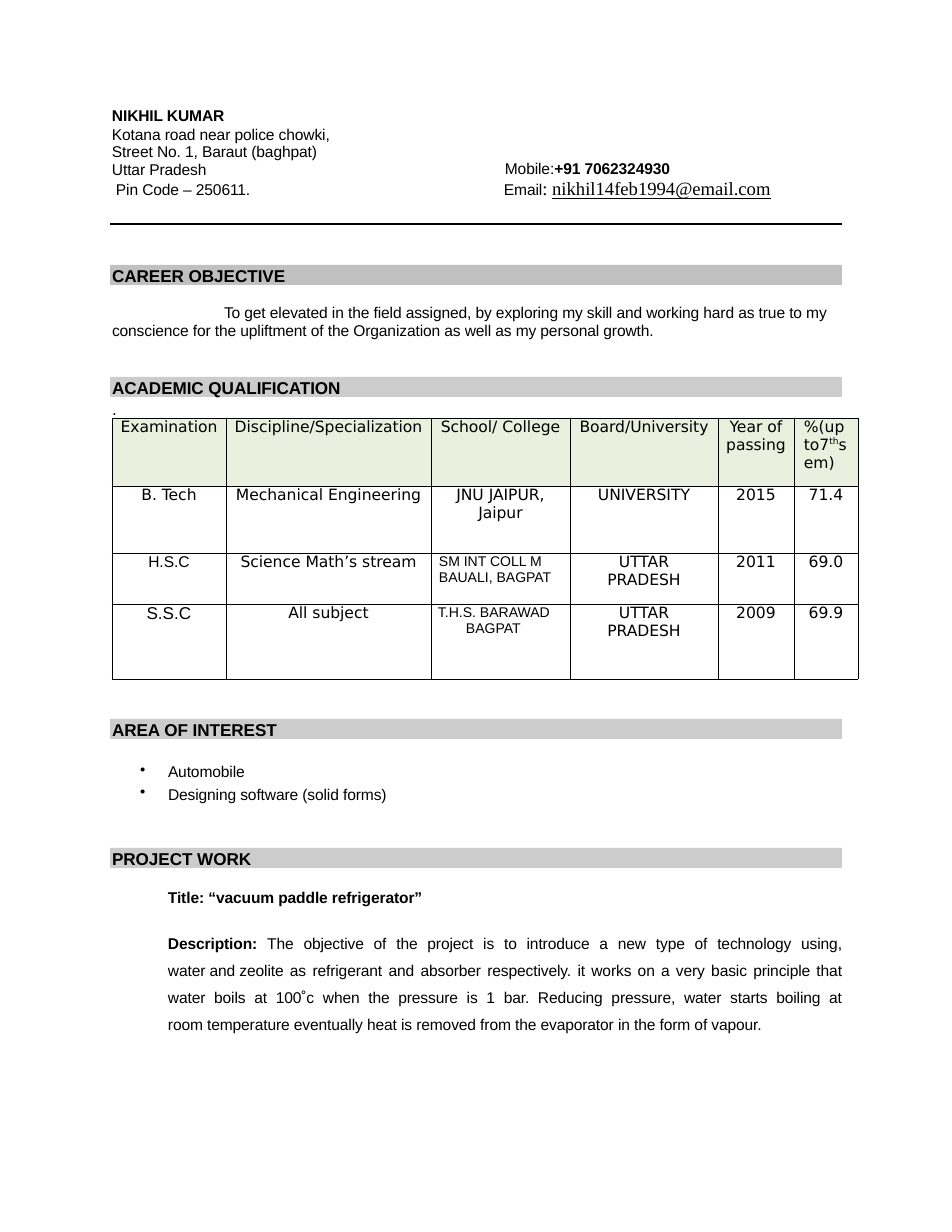
import pptx
import pptx.util
import pptx.dml.color
import pptx.enum.shapes
import pptx.enum.text
import pptx.oxml.ns
import lxml.etree

THEME = {
    "ink": "000000", "bar_dark": "C0C0C0", "bar": "CCCCCC", "header_fill": "EAF0DD",
    "body": "Arial", "grid": "DejaVu Sans", "serif": "Times New Roman",
    "body_size": 10, "heading_size": 11, "small_size": 9, "email_size": 12, "tracking": -0.06,
}
EMU_PER_PIXEL = 914400 / 112
ALIGN = pptx.enum.text.PP_ALIGN

BAR_LEFT, BAR_WIDTH, BAR_HEIGHT = 110, 732, 20
HEADINGS = [
    ("CAREER OBJECTIVE", 265, "bar_dark"), ("ACADEMIC QUALIFICATION", 377, "bar"),
    ("AREA OF INTEREST", 719, "bar"), ("PROJECT WORK", 848, "bar"),
]
BOLD = {"bold": True}
SERIF = {"font": THEME["serif"], "size": THEME["email_size"], "tracking": 0}
TEXT_BOXES = [
    ((111, 106, 230, 93), [
        ([("NIKHIL KUMAR", BOLD)], {"left": 1, "line": 11.9}),
        ("Kotana road near police chowki,\nStreet No. 1, Baraut (baghpat)\nUttar Pradesh",
         {"left": 1, "line": 11.4, "before": 0.6}),
        ("Pin Code – 250611.", {"left": 5, "before": 1.1}),
    ]),
    ((503, 160, 271, 40), [
        (["Mobile:", ("+91 7062324930", BOLD)], {"left": 2, "line": 11.6}),
        (["Email", (": ", SERIF), ("nikhil14feb1994@email.com", {**SERIF, "underline": True})],
         {"left": 1, "line": 13.9}),
    ]),
    ((111, 304, 730, 37), [
        ("To get elevated in the field assigned, by exploring my skill and working hard as true to my "
         "conscience for the upliftment of the Organization as well as my personal growth.",
         {"left": 1, "first": 112, "line": 11.5}),
    ]),
    ((111, 398, 8, 20), [([(".", {"size": THEME["heading_size"]})], {"left": 1})]),
    ((139, 762, 255, 40), [
        ("Automobile", {"left": 29, "first": -28, "bullet": "•"}),
        ("Designing software (solid forms)", {"left": 29, "first": -28, "bullet": "•", "before": 2.5}),
    ]),
    ((167, 888, 675, 145), [
        ([("Title: “vacuum paddle refrigerator”", BOLD)], {"left": 1}),
        ([("Description: ", BOLD),
          "The objective of the project is to introduce a new type of technology using, "
          "water\u00a0and\u00a0zeolite as refrigerant and absorber respectively. it works on a very "
          "basic principle that water boils at 100˚c when the pressure is 1 bar. Reducing pressure, "
          "water starts boiling at room\u00a0temperature eventually heat is removed from the "
          "evaporator in the form of vapour."],
         {"left": 1, "line": 17.4, "before": 12.2, "align": ALIGN.JUSTIFY}),
    ]),
]

TABLE_LEFT, TABLE_TOP = 112, 418
COLUMN_WIDTHS = [114, 205, 139, 148, 76, 64]
ROW_HEIGHTS = [68, 67, 51, 75]
ARIAL = {"font": THEME["body"]}
SMALL = {"font": THEME["body"], "size": THEME["small_size"]}
QUALIFICATIONS = [
    ["Examination", "Discipline/Specialization", "School/ College", "Board/University",
     "Year of passing",
     (["%(up to7", ("th", {"superscript": True}), "s em)"], {"left": 10, "align": ALIGN.LEFT})],
    ["B. Tech", "Mechanical Engineering", "JNU JAIPUR,\nJaipur", "UNIVERSITY", "2015", "71.4"],
    [([("H.S.C", ARIAL)], {}), "Science Math’s stream",
     ([("SM INT COLL M BAUALI, BAGPAT", SMALL)], {"left": 8, "line": 10.4, "align": ALIGN.LEFT}),
     "UTTAR\nPRADESH", "2011", "69.0"],
    [([("S.S.C", {**ARIAL, "size": THEME["heading_size"]})], {}), "All subject",
     ([("T.H.S. BARAWAD BAGPAT", SMALL)],
      {"left": 35, "first": -28, "line": 10.4, "align": ALIGN.LEFT}),
     "UTTAR\nPRADESH", "2009", "69.9"],
]


def pixels(value):
    return pptx.util.Emu(round(value * EMU_PER_PIXEL))


def color(name):
    return pptx.dml.color.RGBColor.from_string(THEME[name])


def add_xml(parent, tag, **attributes):
    return lxml.etree.SubElement(parent, pptx.oxml.ns.qn(tag), attributes)


def format_run(run, font=THEME["body"], size=THEME["body_size"], bold=False, underline=False,
               tracking=THEME["tracking"], superscript=False):
    run.font.name = font
    run.font.size = pptx.util.Pt(size)
    run.font.bold = bold
    run.font.underline = underline
    run.font.color.rgb = color("ink")
    properties = run._r.get_or_add_rPr()
    properties.set("spc", str(round(tracking * 100)))
    if superscript:
        properties.set("baseline", "38000")


def write_paragraph(paragraph, content, left=0, first=0, line=None, before=0, bullet=None,
                    align=ALIGN.LEFT, **run_format):
    paragraph.alignment = align
    paragraph.space_before = pptx.util.Pt(before)
    if line:
        paragraph.line_spacing = pptx.util.Pt(line)
    properties = paragraph._p.get_or_add_pPr()
    properties.set("marL", str(pixels(left)))
    properties.set("indent", str(pixels(first)))
    if bullet:
        add_xml(properties, "a:buChar", char=bullet)
    for piece in [content] if isinstance(content, str) else content:
        text, changes = (piece, {}) if isinstance(piece, str) else piece
        for index, text_line in enumerate(text.split("\n")):
            if index:
                paragraph.add_line_break()
            run = paragraph.add_run()
            run.text = text_line
            format_run(run, **{**run_format, **changes})


def clear_margins(frame):
    frame.margin_left = frame.margin_right = frame.margin_top = frame.margin_bottom = 0


def add_text(slide, box, paragraphs):
    frame = slide.shapes.add_textbox(*map(pixels, box)).text_frame
    frame.word_wrap = True
    clear_margins(frame)
    for index, (content, layout) in enumerate(paragraphs):
        paragraph = frame.add_paragraph() if index else frame.paragraphs[0]
        write_paragraph(paragraph, content, **layout)


def add_heading(slide, text, top, fill):
    shape = slide.shapes.add_shape(pptx.enum.shapes.MSO_SHAPE.RECTANGLE,
                                   *map(pixels, (BAR_LEFT, top, BAR_WIDTH, BAR_HEIGHT)))
    shape.shadow.inherit = False
    shape.fill.solid()
    shape.fill.fore_color.rgb = color(fill)
    shape.line.fill.background()
    frame = shape.text_frame
    clear_margins(frame)
    frame.vertical_anchor = pptx.enum.text.MSO_ANCHOR.TOP
    write_paragraph(frame.paragraphs[0], text, left=2, bold=True, size=THEME["heading_size"])


def add_borders(cell):
    properties = cell._tc.get_or_add_tcPr()
    for index, tag in enumerate(("a:lnL", "a:lnR", "a:lnT", "a:lnB")):
        border = add_xml(properties, tag, w=str(pptx.util.Pt(0.58)))
        add_xml(add_xml(border, "a:solidFill"), "a:srgbClr", val=THEME["ink"])
        properties.insert(index, border)


def add_qualifications(slide):
    box = (TABLE_LEFT, TABLE_TOP, sum(COLUMN_WIDTHS), sum(ROW_HEIGHTS))
    table = slide.shapes.add_table(len(ROW_HEIGHTS), len(COLUMN_WIDTHS), *map(pixels, box)).table
    table.first_row = table.horz_banding = False
    for column, width in zip(table.columns, COLUMN_WIDTHS):
        column.width = pixels(width)
    for row_index, (row, height) in enumerate(zip(table.rows, ROW_HEIGHTS)):
        row.height = pixels(height)
        for cell, entry in zip(row.cells, QUALIFICATIONS[row_index]):
            content, layout = (entry, {}) if isinstance(entry, str) else entry
            clear_margins(cell)
            if row_index == 0:
                cell.fill.solid()
                cell.fill.fore_color.rgb = color("header_fill")
            else:
                cell.fill.background()
            add_borders(cell)
            write_paragraph(cell.text_frame.paragraphs[0], content,
                            **{"align": ALIGN.CENTER, "font": THEME["grid"], "tracking": 0, **layout})


def add_rule(slide, top):
    rule = slide.shapes.add_connector(pptx.enum.shapes.MSO_CONNECTOR.STRAIGHT, pixels(BAR_LEFT),
                                      pixels(top), pixels(BAR_LEFT + BAR_WIDTH), pixels(top))
    rule.line.color.rgb = color("ink")
    rule.line.width = pptx.util.Pt(1.44)
    add_xml(rule._element.spPr, "a:effectLst")


presentation = pptx.Presentation()
presentation.slide_width = pptx.util.Inches(8.5)
presentation.slide_height = pptx.util.Inches(11)
slide = presentation.slides.add_slide(presentation.slide_layouts[6])
add_rule(slide, 224)
for heading in HEADINGS:
    add_heading(slide, *heading)
for box, paragraphs in TEXT_BOXES:
    add_text(slide, box, paragraphs)
add_qualifications(slide)
presentation.save("out.pptx")
